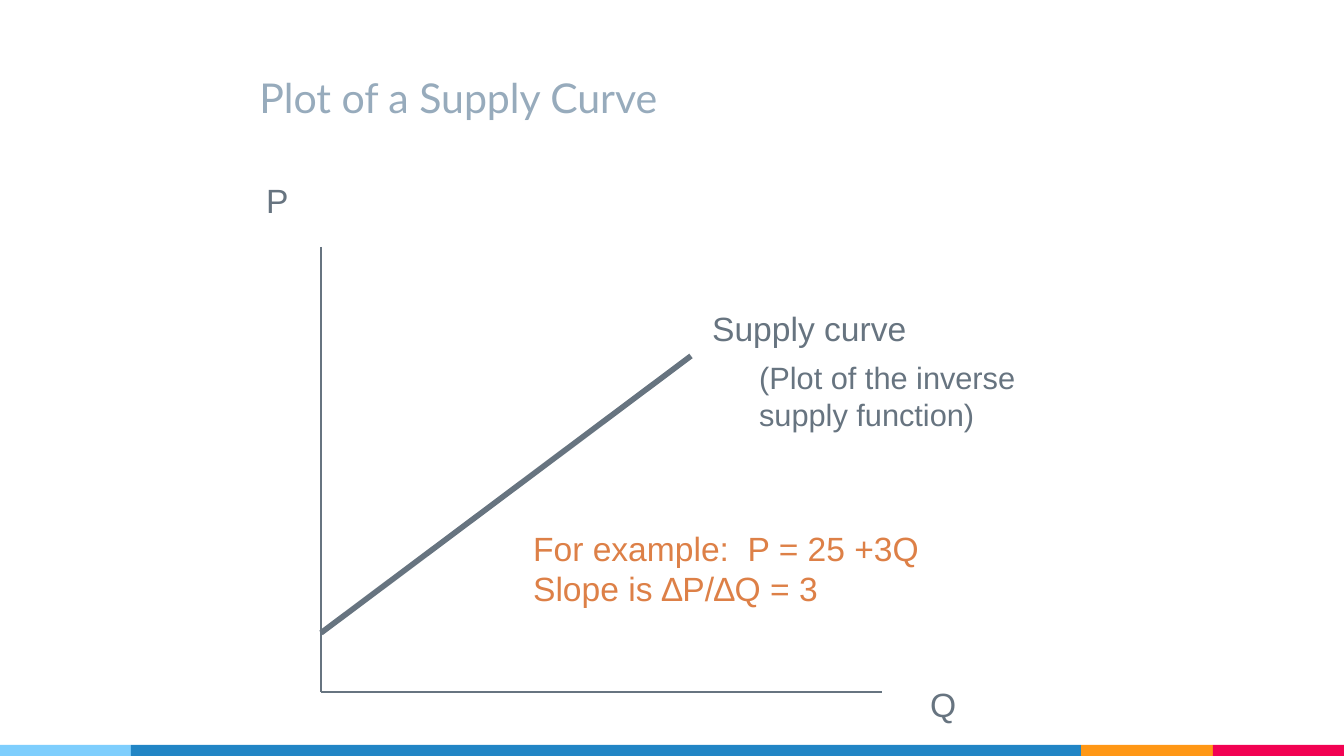
import pptx
import pptx.dml.color
import pptx.enum.shapes
import pptx.enum.text
import pptx.oxml
import pptx.oxml.ns
import pptx.util

RGBColor = pptx.dml.color.RGBColor
SLATE = RGBColor(0x67, 0x74, 0x80)
TITLE_GREY = RGBColor(0x97, 0xAB, 0xBC)
EXAMPLE_ORANGE = RGBColor(0xDD, 0x80, 0x47)
SKY = RGBColor(0x7E, 0xCE, 0xFD)
BLUE = RGBColor(0x21, 0x85, 0xC5)
AMBER = RGBColor(0xFF, 0x97, 0x15)
CRIMSON = RGBColor(0xF2, 0x02, 0x53)

PX_PER_INCH = 134.4
SLIDE_W, SLIDE_H = 1344, 756
BAR_TOP = 745
ORIGIN = (321, 692)
AXIS_TOP, AXIS_RIGHT = 247, 882


def px(n):
    """Turn px into EMU."""
    return pptx.util.Inches(n / PX_PER_INCH)


def set_font(p, name, size, color):
    """Format a whole paragraph."""
    p.font.name = name
    p.font.size = pptx.util.Pt(size)
    p.font.color.rgb = color


def add_bar(s, left, right, color):
    """Add one segment of the footer stripe."""
    sp = s.shapes.add_shape(
        pptx.enum.shapes.MSO_SHAPE.RECTANGLE,
        px(left), px(BAR_TOP), px(right - left), px(SLIDE_H - BAR_TOP))
    sp.shadow.inherit = False
    sp.fill.solid()
    sp.fill.fore_color.rgb = color
    sp.line.fill.background()


def add_title(s, text):
    """Fill, place and format the title placeholder."""
    sp = s.shapes.title
    sp.left, sp.top, sp.width, sp.height = px(246), px(26), px(887), px(109)
    tf = sp.text_frame
    tf.text = text
    tf.auto_size = pptx.enum.text.MSO_AUTO_SIZE.NONE
    tf.vertical_anchor = pptx.enum.text.MSO_ANCHOR.BOTTOM
    tf.margin_left = tf.margin_right = pptx.util.Inches(0.1)
    tf.margin_top = tf.margin_bottom = pptx.util.Inches(0.1)
    p = tf.paragraphs[0]
    p.alignment = pptx.enum.text.PP_ALIGN.LEFT
    set_font(p, "Lato", 22, TITLE_GREY)


def add_line(s, start, end, width):
    """Add a straight slate line."""
    line = s.shapes.add_connector(
        pptx.enum.shapes.MSO_CONNECTOR.STRAIGHT,
        px(start[0]), px(start[1]), px(end[0]), px(end[1]))
    line.line.color.rgb = SLATE
    line.line.width = pptx.util.Pt(width)
    effects = pptx.oxml.parse_xml(
        "<a:effectLst %s/>" % pptx.oxml.ns.nsdecls("a"))
    line._element.spPr.append(effects)


def add_label(s, box, lines, size=18, color=SLATE):
    """Add an unwrapped text box with one paragraph per line."""
    sp = s.shapes.add_textbox(*map(px, box))
    tf = sp.text_frame
    tf.word_wrap = False
    tf.auto_size = pptx.enum.text.MSO_AUTO_SIZE.SHAPE_TO_FIT_TEXT
    tf.text = "\n".join(lines)
    for p in tf.paragraphs:
        set_font(p, "Arial", size, color)


def main():
    """Build the supply curve slide."""
    prs = pptx.Presentation()
    prs.slide_width, prs.slide_height = px(SLIDE_W), px(SLIDE_H)
    s = prs.slides.add_slide(prs.slide_layouts[5])

    edges = [0, 131, 1081, 1213, SLIDE_W]
    for left, right, color in zip(edges, edges[1:], [SKY, BLUE, AMBER, CRIMSON]):
        add_bar(s, left, right, color)

    add_title(s, "Plot of a Supply Curve")
    add_line(s, (ORIGIN[0], AXIS_TOP), ORIGIN, 0.75)
    add_line(s, ORIGIN, (AXIS_RIGHT, ORIGIN[1]), 0.75)
    add_line(s, (ORIGIN[0], 633), (691, 356), 3)

    add_label(s, (253, 173, 50, 54), ["P"])
    add_label(s, (917, 677, 54, 54), ["Q"])
    add_label(s, (746, 352, 294, 89),
              ["(Plot of the inverse", "supply function)"], size=16.5)
    add_label(s, (699, 301, 223, 54), ["Supply curve"])
    add_label(s, (520, 521, 418, 95),
              ["For example:  P = 25 +3Q", "Slope is ∆P/∆Q = 3"],
              color=EXAMPLE_ORANGE)
    prs.save("out.pptx")


if __name__ == "__main__":
    main()
